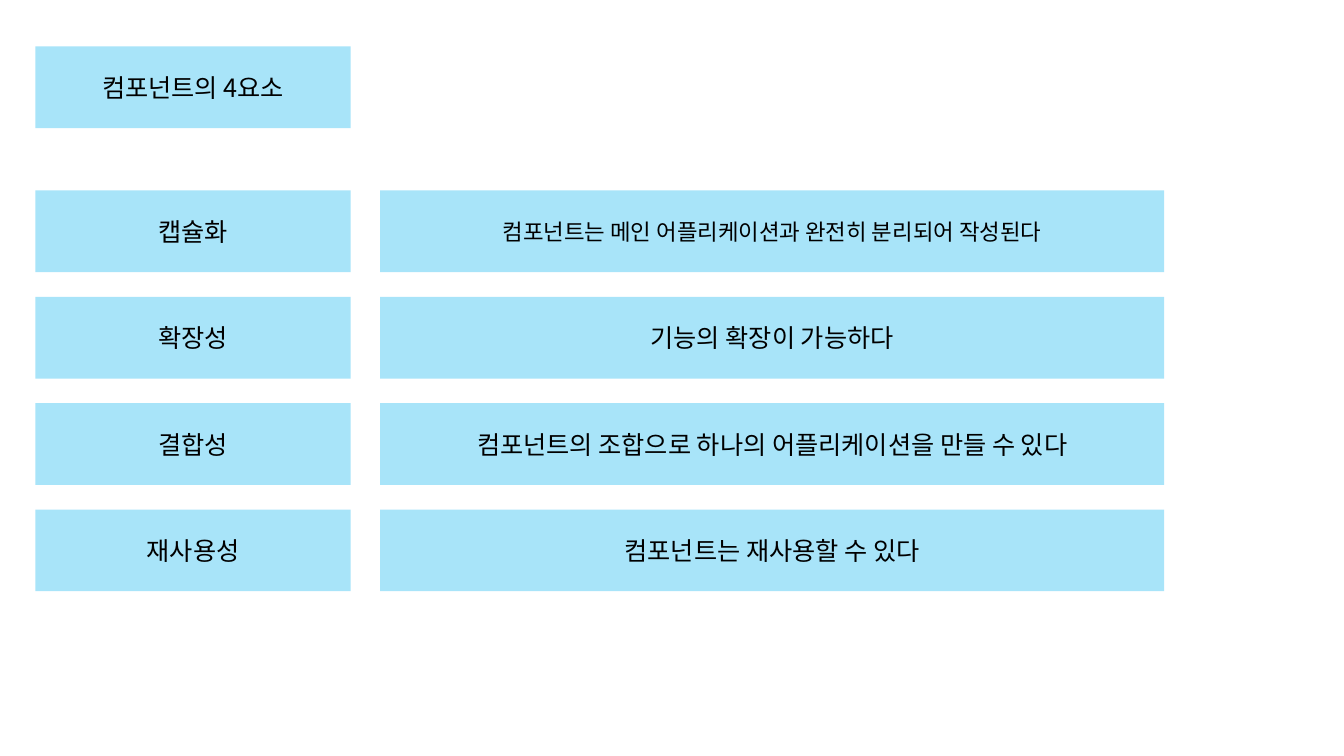
from lxml.etree import SubElement
from pptx import Presentation
from pptx.dml.color import RGBColor
from pptx.enum.shapes import MSO_SHAPE
from pptx.enum.text import MSO_ANCHOR, PP_ALIGN
from pptx.oxml.ns import qn
from pptx.util import Cm, Pt

TITLE = "컴포넌트의 4요소"
ELEMENTS = [  # name, description, description size in points
    ("캡슐화", "컴포넌트는 메인 어플리케이션과 완전히 분리되어 작성된다", 16),
    ("확장성", "기능의 확장이 가능하다", 18),
    ("결합성", "컴포넌트의 조합으로 하나의 어플리케이션을 만들 수 있다", 18),
    ("재사용성", "컴포넌트는 재사용할 수 있다", 18),
]

BLUE = RGBColor(0x00, 0xB0, 0xF0)
BLACK = RGBColor(0x00, 0x00, 0x00)
FONT = "Noto Sans CJK KR"
OPACITY = 34  # percent
TEXT_SIZE = 18

NAME_COLUMN = {"left": 0.89, "width": 7.95}
DESCRIPTION_COLUMN = {"left": 9.58, "width": 19.76}
TITLE_TOP = 1.17
FIRST_ROW_TOP = 4.8
ROW_PITCH = 2.68
BOX_HEIGHT = 2.06


def add_box(slide, text, column, top, size=TEXT_SIZE):
    shape = slide.shapes.add_shape(
        MSO_SHAPE.RECTANGLE, Cm(column["left"]), Cm(top), Cm(column["width"]), Cm(BOX_HEIGHT)
    )
    shape.shadow.inherit = False
    shape.line.fill.background()
    shape.fill.solid()
    shape.fill.fore_color.rgb = BLUE
    color = shape._element.spPr.find(qn("a:solidFill"))[0]
    SubElement(color, qn("a:alpha"), val=str(OPACITY * 1000))

    shape.text_frame.vertical_anchor = MSO_ANCHOR.MIDDLE
    paragraph = shape.text_frame.paragraphs[0]
    paragraph.alignment = PP_ALIGN.CENTER
    run = paragraph.add_run()
    run.text = text
    run.font.color.rgb = BLACK
    for attribute, value in {"name": FONT, "size": Pt(size)}.items():
        setattr(run.font, attribute, value)
    SubElement(run._r.get_or_add_rPr(), qn("a:ea"), typeface=FONT)


def main():
    presentation = Presentation()
    presentation.slide_width = Cm(33.87)
    presentation.slide_height = Cm(19.05)
    slide = presentation.slides.add_slide(presentation.slide_layouts[6])

    add_box(slide, TITLE, NAME_COLUMN, TITLE_TOP)
    for row, (name, description, size) in enumerate(ELEMENTS):
        top = FIRST_ROW_TOP + row * ROW_PITCH
        add_box(slide, name, NAME_COLUMN, top)
        add_box(slide, description, DESCRIPTION_COLUMN, top, size)

    presentation.save("out.pptx")


if __name__ == "__main__":
    main()
